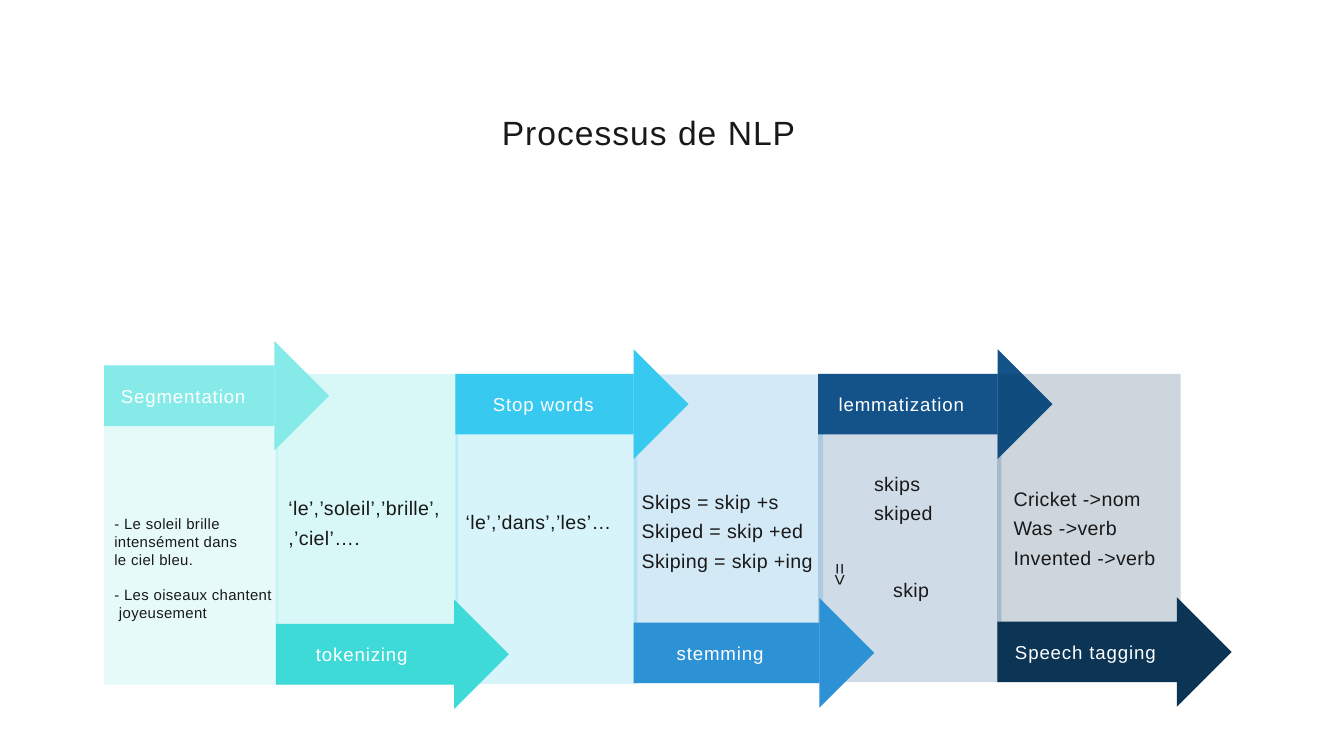
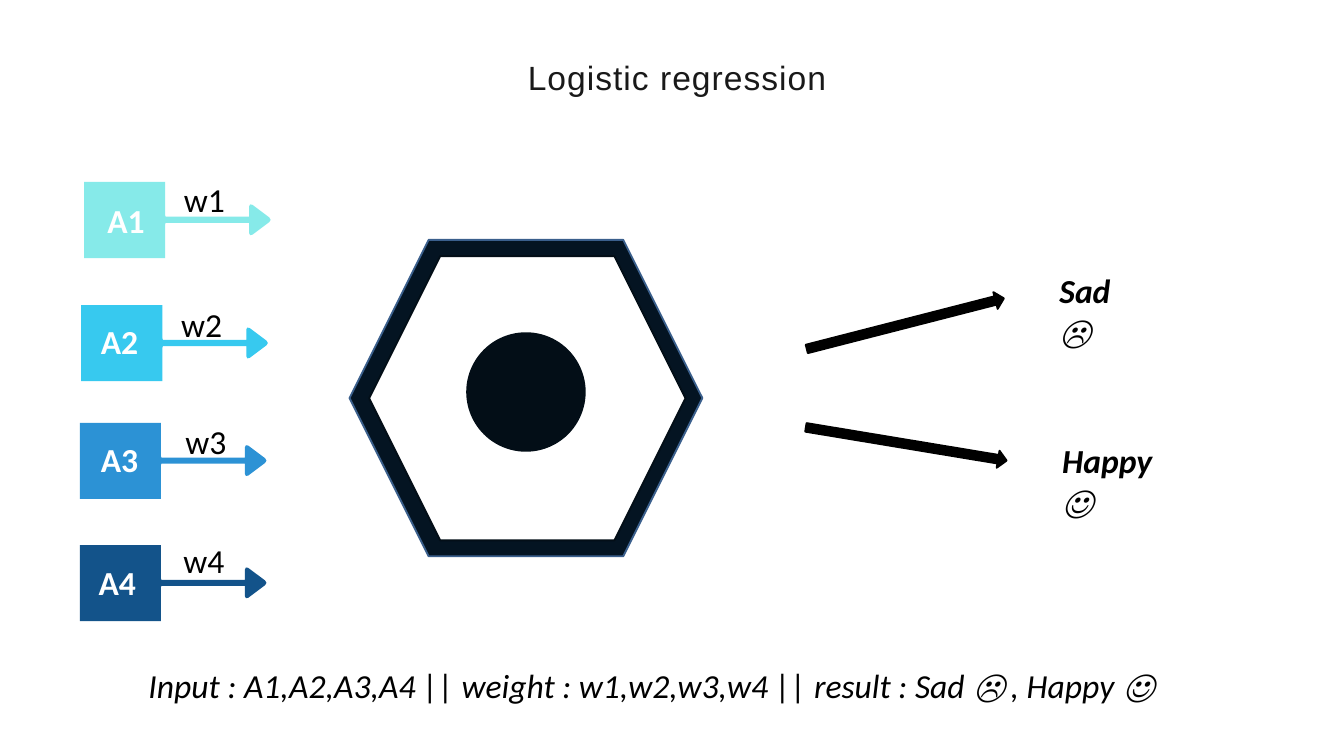
from math import asin, cos, pi, sin

from lxml import etree
from pptx import Presentation
from pptx.dml.color import RGBColor
from pptx.enum.shapes import MSO_SHAPE
from pptx.enum.text import PP_ALIGN
from pptx.oxml.ns import qn
from pptx.util import Pt

RECT, OVAL, HEXA = MSO_SHAPE.RECTANGLE, MSO_SHAPE.OVAL, MSO_SHAPE.HEXAGON
WEDGE, ARROW = MSO_SHAPE.RIGHT_TRIANGLE, MSO_SHAPE.RIGHT_ARROW
LEFT, CENTER = PP_ALIGN.LEFT, PP_ALIGN.CENTER

AQUA = RGBColor(0x86, 0xEA, 0xE9)
TEAL = RGBColor(0x3E, 0xDA, 0xD8)
SKY = RGBColor(0x37, 0xC9, 0xEF)
BLUE = RGBColor(0x2C, 0x92, 0xD5)
NAVY = RGBColor(0x13, 0x53, 0x8A)
DEEP = RGBColor(0x0B, 0x34, 0x55)
RIM = RGBColor(0x04, 0x14, 0x22)
EDGE = RGBColor(0x3A, 0x5F, 0x8C)
CORE = RGBColor(0x03, 0x0E, 0x17)
INK = RGBColor(0x19, 0x19, 0x19)
BLACK = RGBColor(0, 0, 0)
WHITE = RGBColor(255, 255, 255)

# Text styles
TITLE = dict(size=36, font="Arial", color=INK, spc=1.1, line=47.2, align=CENTER)
LABEL = dict(size=20, font="Arial", color=WHITE, spc=0.9, line=31)
BODY = dict(size=21, font="Arial", color=INK, spc=0.4, line=31.5)
SMALL = dict(size=16, font="Arial", color=INK, spc=0.4)
PLAIN = dict(size=36, font="Calibri", color=BLACK, inset=True)
INPUT = dict(PLAIN, color=WHITE, bold=True)
RESULT = dict(PLAIN, bold=True, italic=True)
LEGEND = dict(PLAIN, italic=True)

# Step: name, colour, panel (left, top, width, height), label offset
STEPS = [
    ("Segmentation", AQUA, (111.5, 391.5, 186.5, 342), 18),
    ("tokenizing", TEAL, (295.5, 401, 195, 332.5), 43),
    ("Stop words", SKY, (488, 400.5, 195, 332.5), 40),
    ("stemming", BLUE, (679, 401, 203, 331), 46),
    ("lemmatization", NAVY, (876.5, 400.5, 196.5, 330.5), 22),
    ("Speech tagging", DEEP, (1068.5, 400.5, 196.5, 330.5), 19),
]
BAR, HEAD, LAP = 65, 83, 4

# Example: left, top, lines
SAMPLES = [
    (309, 525.5, ["‘le’,’soleil’,’brille’,", ",’ciel’…."]),
    (499, 540, ["‘le’,’dans’,’les’…"]),
    (687.5, 518.5, ["Skips = skip +s", "Skiped = skip +ed", "Skiping = skip +ing"]),
    (936.5, 499, ["skips", "skiped"]),
    (957, 612.5, ["skip"]),
    (1086, 515.5, ["Cricket ->nom", "Was ->verb", "Invented ->verb"]),
]
PHRASES = ["- Le soleil brille", "intensément dans", "le ciel bleu.",
           "- Les oiseaux chantent", "joyeusement"]

# Input: colour, box, name place, weight place
INPUTS = [
    (AQUA, (90, 195), (108, 211), (190, 188)),
    (SKY, (87, 327), (101, 340), (187, 322.5)),
    (BLUE, (85.5, 453), (101, 466.5), (191.5, 447)),
    (NAVY, (85.5, 584), (98.5, 599), (189.5, 574.5)),
]
# Result: text, text place, arrow place, arrow angle
RESULTS = [
    ("Sad ☹", (1128, 286, 100, 94), (861, 337.5), -14.4),
    ("Happy ☺", (1131, 468, 136, 94), (862, 466.5), 9.4),
]
SUMMARY = ("Input : A1,A2,A3,A4 || weight : w1,w2,w3,w4 || "
           "result : Sad ☹ , Happy ☺")


def pts(*nums):
    return [Pt(n) for n in nums]


def paint(shape, color, edge=None, alpha=None):
    shape.shadow.inherit = False
    shape.fill.solid()
    shape.fill.fore_color.rgb = color
    if alpha:
        tone = shape.fill._xPr.find(".//" + qn("a:srgbClr"))
        etree.SubElement(tone, qn("a:alpha")).set("val", str(alpha * 1000))
    if edge is None:
        shape.line.fill.background()
    else:
        shape.line.color.rgb = edge
        shape.line.width = Pt(2)


def draw(slide, kind, at, color, edge=None, alpha=None, turn=0):
    shape = slide.shapes.add_shape(kind, *pts(*at))
    shape.rotation = turn
    paint(shape, color, edge, alpha)


def write(slide, lines, at, size, font, color, spc=0, line=None, align=LEFT,
          bold=False, italic=False, inset=False, turn=0):
    """Add a text box with one paragraph per line and return its frame."""
    box = slide.shapes.add_textbox(*pts(*at))
    box.rotation = turn
    frame = box.text_frame
    frame.word_wrap = True
    if not inset:
        frame.margin_left = frame.margin_right = 0
        frame.margin_top = frame.margin_bottom = 0
    frame.text = "\n".join(lines)
    for para in frame.paragraphs:
        para.alignment = align
        if line:
            para.line_spacing = Pt(line)
        para.font.size = Pt(size)
        para.font.name = font
        para.font.color.rgb = color
        para.font.bold, para.font.italic = bold, italic
        if spc:
            para._p.pPr.defRPr.set("spc", str(round(spc * 100)))
    return frame


def add_step(slide, name, color, panel, shift, top):
    """Draw the arrow of one step along its panel's top or bottom."""
    left, high, width, height = panel
    y = high if top else high + height - BAR
    base = left + width - LAP
    draw(slide, RECT, (left, y, width - LAP, BAR), color)
    draw(slide, WEDGE, (base - HEAD / 2, y + (BAR - HEAD) / 2, HEAD, HEAD),
         color, turn=225)
    write(slide, [name], (left + shift, y + 13.5, 200, 29), **LABEL)


def process(slide):
    write(slide, ["Processus de NLP"], (395.5, 116, 599, 44), **TITLE)
    steps = [(*step, n % 2 == 0) for n, step in enumerate(STEPS)]
    for group in (steps[:-1], steps[-1:]):
        for _, color, panel, _, _ in group:
            draw(slide, RECT, panel, color, alpha=20)
        for step in group:
            add_step(slide, *step)
    for left, top, lines in SAMPLES:
        write(slide, lines, (left, top, 200, 32.5 * len(lines)), **BODY)
    write(slide, ["=>"], (804, 687, 200, 32.5), turn=90, **BODY)
    frame = write(slide, PHRASES, (122.5, 551.5, 185, 120), **SMALL)
    frame.paragraphs[3].space_before = Pt(18)
    frame.paragraphs[4]._p.pPr.set("marL", str(Pt(5)))


def pin(slide, left, top, color):
    """Draw an arrow that starts with a dot."""
    mid, dot, stem = 17.5, 11, 3.25
    gap = asin(stem / dot)
    turns = [gap + k * (2 * pi - 2 * gap) / 24 for k in range(25)]
    ring = [(dot + dot * cos(t), mid + dot * sin(t)) for t in turns]
    upper = [(111, mid - stem), (111, 3), (112, 1), (114.5, 1.5), (132.5, 15)]
    lower = [(x, 2 * mid - y) for x, y in reversed(upper)]
    spots = [(Pt(left + x), Pt(top + y))
             for x, y in ring + upper + [(134, mid)] + lower]
    path = slide.shapes.build_freeform(*spots[0])
    path.add_line_segments(spots[1:])
    paint(path.convert_to_shape(), color)


def neuron(slide):
    write(slide, ["Logistic regression"], (426, 57, 599, 44), **TITLE)
    for n, (color, box, name, weight) in enumerate(INPUTS, 1):
        x, y = box
        draw(slide, RECT, (x, y, 87, 81.5), color)
        pin(slide, x + 66, y + 23, color)
        write(slide, [f"A{n}"], (*name, 126, 51), **INPUT)
        write(slide, [f"w{n}"], (*weight, 126, 51), **PLAIN)
    draw(slide, HEXA, (374.5, 257, 378, 339), RIM, EDGE)
    draw(slide, HEXA, (395.5, 274.5, 339, 304.5), WHITE, CORE)
    draw(slide, OVAL, (500.5, 357, 126, 126), CORE, CORE)
    for text, place, start, turn in RESULTS:
        draw(slide, ARROW, (*start, 218, 18.5), BLACK, BLACK, turn=turn)
        write(slide, [text], place, **RESULT)
    write(slide, [SUMMARY], (152, 709, 1210, 51), **LEGEND)


def main():
    deck = Presentation()
    deck.slide_width, deck.slide_height = pts(1440, 810)
    for build in (process, neuron):
        build(deck.slides.add_slide(deck.slide_layouts[6]))
    deck.save("out.pptx")


if __name__ == "__main__":
    main()
